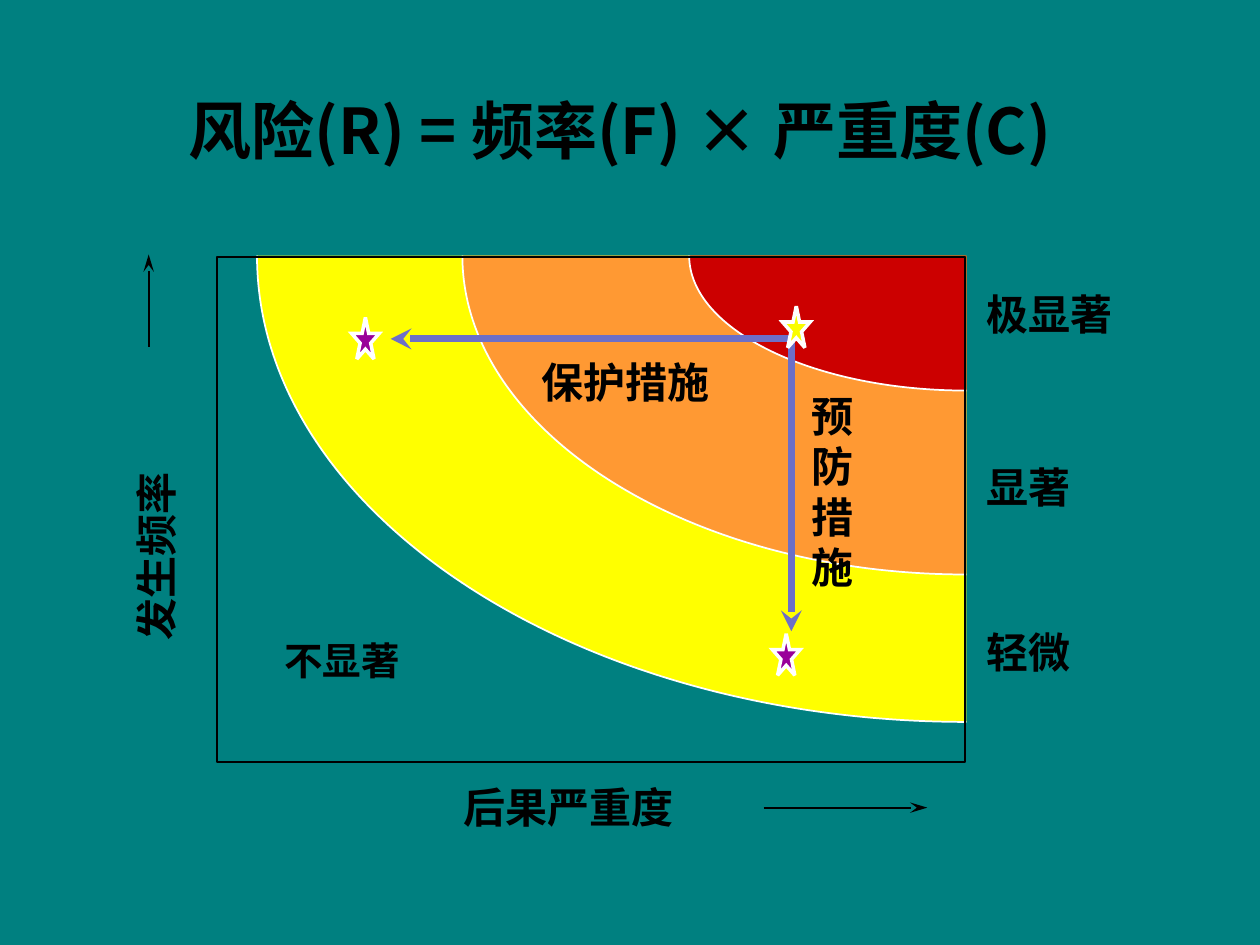
from copy import deepcopy

from lxml import etree
from pptx import Presentation
from pptx.dml.color import RGBColor
from pptx.enum.shapes import MSO_CONNECTOR, MSO_SHAPE
from pptx.enum.text import MSO_ANCHOR, PP_ALIGN
from pptx.oxml.ns import qn
from pptx.util import Inches, Pt

TEAL = RGBColor(0x00, 0x80, 0x80)
BLACK = RGBColor(0x00, 0x00, 0x00)
WHITE = RGBColor(0xFF, 0xFF, 0xFF)
YELLOW = RGBColor(0xFF, 0xFF, 0x00)
ORANGE = RGBColor(0xFF, 0x99, 0x33)
RED = RGBColor(0xCC, 0x00, 0x00)
LEMON = RGBColor(0xFA, 0xFD, 0x00)
PURPLE = RGBColor(0x99, 0x00, 0x99)
BLUE = RGBColor(0x6D, 0x6F, 0xC7)

FONT = "Noto Sans CJK SC"
LEFT, CENTER, RIGHT = PP_ALIGN.LEFT, PP_ALIGN.CENTER, PP_ALIGN.RIGHT
TOP = MSO_ANCHOR.TOP
STRAIGHT = MSO_CONNECTOR.STRAIGHT
RECT, STAR = MSO_SHAPE.RECTANGLE, MSO_SHAPE.STAR_5_POINT

prs = Presentation()
prs.slide_width, prs.slide_height = Inches(10), Inches(7.5)
slide = prs.slides.add_slide(prs.slide_layouts[5])
slide.background.fill.solid()
slide.background.fill.fore_color.rgb = TEAL
shapes = slide.shapes


def put_text(text, x, y, w, h, size=24, align=LEFT, wrap=False, turn=0, box=None):
    """Fill the given box, or a new text box, with bold black text."""
    box = box or shapes.add_textbox(0, 0, 0, 0)
    box.left, box.top, box.width, box.height = map(Inches, (x, y, w, h))
    box.rotation = turn
    frame = box.text_frame
    frame.word_wrap = wrap
    frame.vertical_anchor = TOP
    frame.text = text
    for para in frame.paragraphs:
        para.alignment = align
        for run in para.runs:
            font = run.font
            font.size, font.bold, font.name = Pt(size), True, FONT
            font.color.rgb = BLACK
            east = etree.SubElement(run._r.get_or_add_rPr(), qn("a:ea"))
            east.set("typeface", FONT)


def add_arrow(x1, y1, x2, y2, color=BLACK, width=1, length="lg"):
    arrow = shapes.add_connector(STRAIGHT, *map(Inches, (x1, y1, x2, y2)))
    arrow.line.color.rgb = color
    arrow.line.width = Pt(width)
    etree.SubElement(arrow.line._get_or_add_ln(), qn("a:tailEnd"),
                     type="stealth", w="med", len=length)
    etree.SubElement(arrow._element.spPr, qn("a:effectLst"))


put_text("风险(R) = 频率(F) × 严重度(C)", 0.43, 0.68, 8.98, 0.7,
         size=36, align=CENTER, wrap=True, box=shapes.title)

# Risk zones: quarter ellipses around the top right corner of the chart
RIGHT_X, TOP_Y = 7.67, 2.03
BEND = 0.55  # handle length of a quarter ellipse, as a share of its radius
for wide, high, color in [(5.63, 3.7, YELLOW), (4, 2.53, ORANGE), (2.2, 1.07, RED)]:
    build = shapes.build_freeform(Inches(RIGHT_X), Inches(TOP_Y + high))
    build.add_line_segments([(Inches(RIGHT_X - wide), Inches(TOP_Y)),
                             (Inches(RIGHT_X), Inches(TOP_Y))], close=True)
    zone = build.convert_to_shape()
    zone.shadow.inherit = False
    zone.fill.solid()
    zone.fill.fore_color.rgb = color
    zone.line.color.rgb = WHITE
    zone.line.width = Pt(1)
    # Bend the first side into an arc
    area = zone._element.spPr.find(".//" + qn("a:path"))
    curve = etree.Element(qn("a:cubicBezTo"))
    for x, y in [(wide * (1 - BEND), high), (0, high * BEND), (0, 0)]:
        etree.SubElement(curve, qn("a:pt"), x=str(Inches(x)), y=str(Inches(y)))
    area.replace(area[1], curve)
    # The area is filled without a line; only the arc is stroked
    edge = deepcopy(area)
    area.set("stroke", "0")
    edge.set("fill", "none")
    for part in edge[2:]:
        edge.remove(part)
    area.addprevious(edge)

frame = shapes.add_shape(RECT, *map(Inches, (1.72, 2.04, 5.94, 4.01)))
frame.shadow.inherit = False
frame.fill.background()
frame.line.color.rgb = BLACK
frame.line.width = Pt(1)

# Axes
put_text("后果严重度", 3.58, 6.15, 1.87, 0.5)
add_arrow(6.06, 6.41, 7.36, 6.41)
put_text("发生频率", 0.47, 4.16, 1.54, 0.5, turn=270)
add_arrow(1.18, 2.75, 1.18, 2.02)

# Zone names
for name, y, w in [("极显著", 2.24, 1.2), ("显著", 3.61, 0.87), ("轻微", 4.92, 0.87)]:
    put_text(name, 7.73, y, w, 0.5)
put_text("不显著", 2.16, 5.01, 1.57, 0.47, size=22, wrap=True)

# Measures
for x, y in [(3.1, 2.69), (6.28, 5.01)]:
    add_arrow(6.28, 2.69, x, y, color=BLUE, width=4, length="med")
put_text("预\n防\n措\n施", 6.33, 3.05, 0.54, 1.7, align=RIGHT)
put_text("保护措施", 4.19, 2.78, 1.54, 0.5, align=RIGHT)

for x, y, color in [(6.21, 2.43, LEMON), (2.79, 2.52, PURPLE), (6.13, 5.03, PURPLE)]:
    star = shapes.add_shape(STAR, *map(Inches, (x, y, 0.22, 0.33)))
    star.shadow.inherit = False
    star.fill.solid()
    star.fill.fore_color.rgb = color
    star.line.color.rgb = WHITE
    star.line.width = Pt(2)
    etree.SubElement(star.line._get_or_add_ln(), qn("a:miter"), lim="800000")

prs.save("out.pptx")
